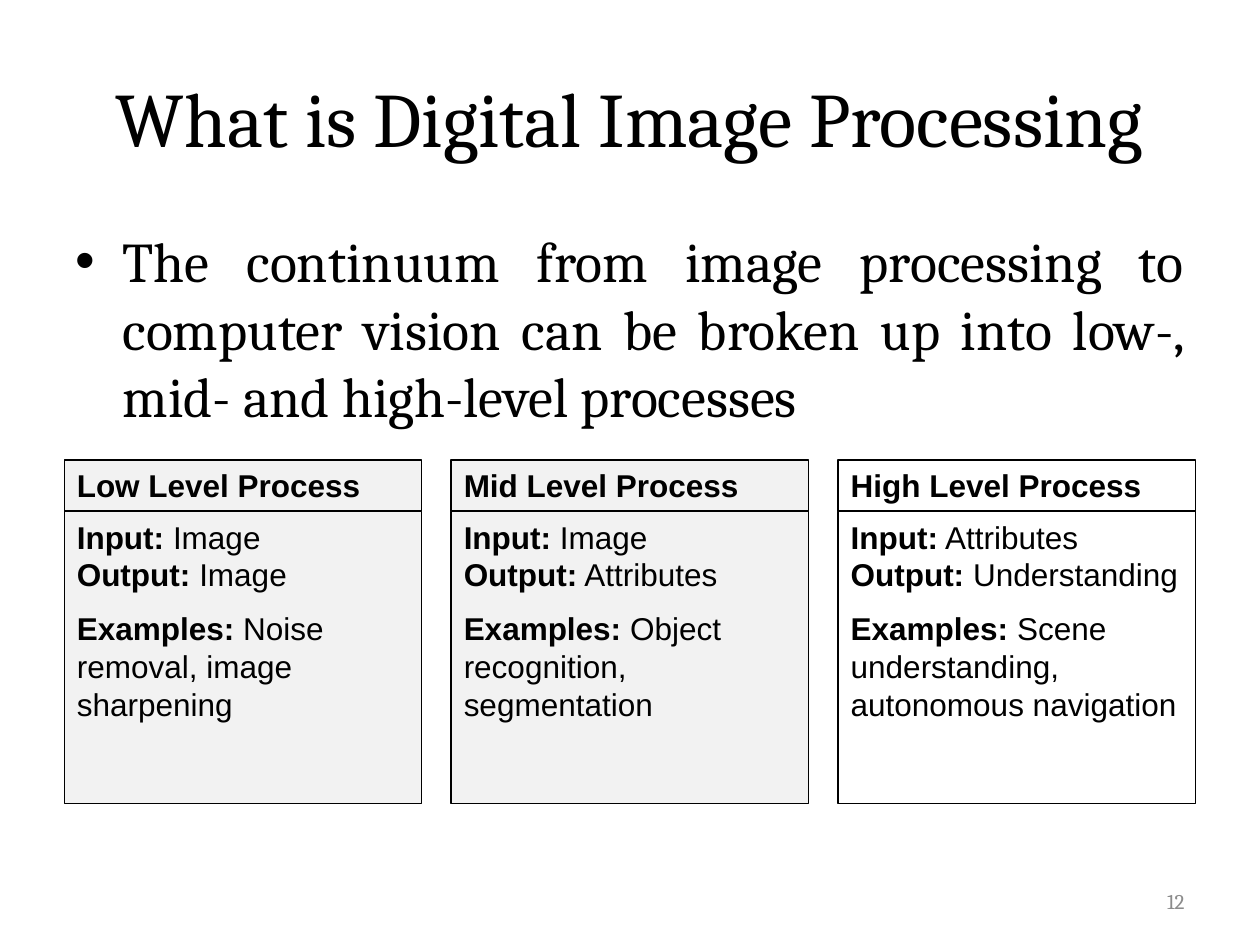
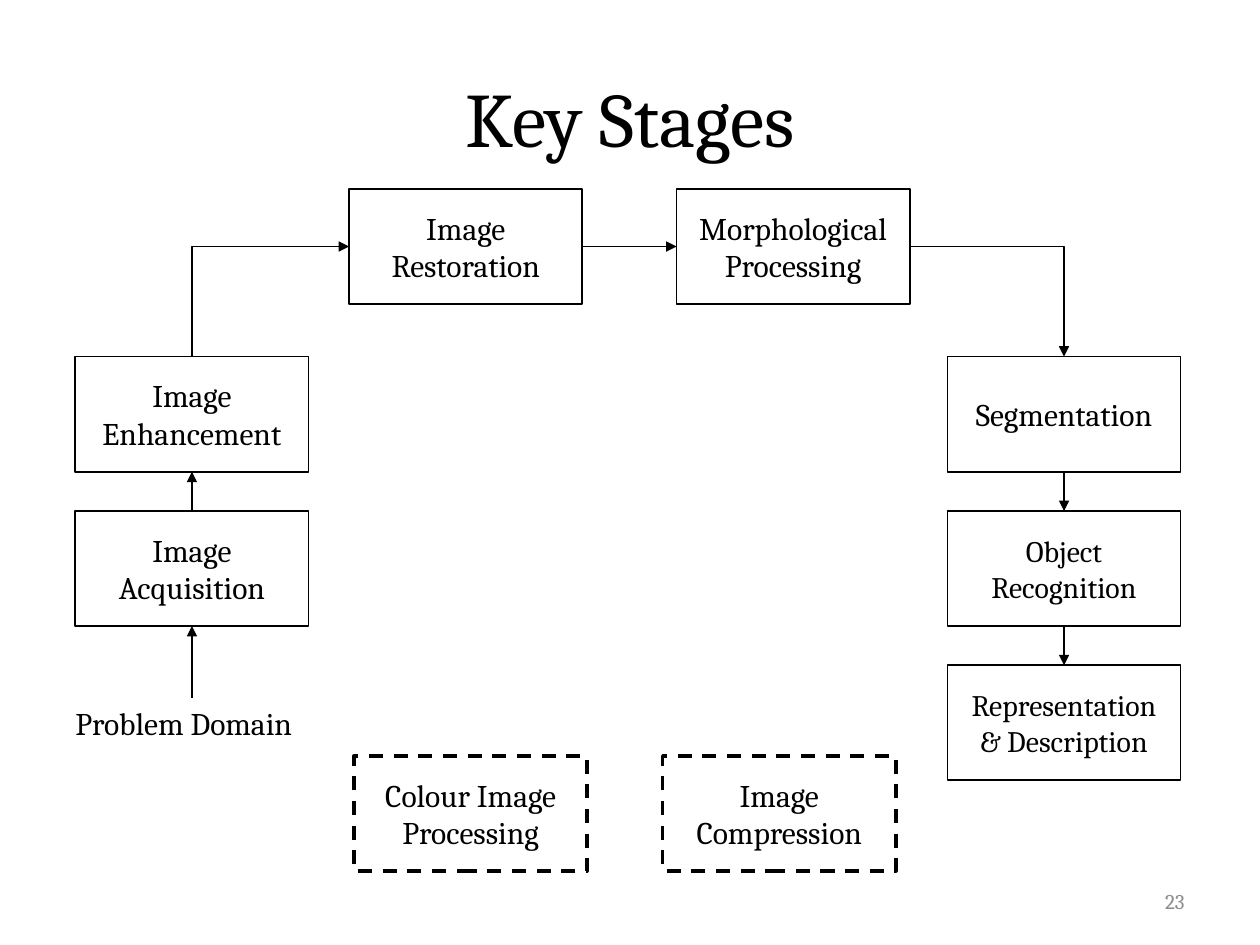
from pptx import Presentation
from pptx.dml.color import RGBColor
from pptx.enum import dml, shapes, text
from pptx.oxml import ns, xmlchemy
from pptx.util import Cm, Pt

BLACK = RGBColor(0, 0, 0)
WHITE = RGBColor(255, 255, 255)
PALE = RGBColor(0xF2, 0xF2, 0xF2)
GREY = RGBColor(0x8C, 0x8C, 0x8C)
SERIF = "Cambria"
SANS = "Arial"
LEFT, MID, RIGHT, FULL = (
    text.PP_ALIGN.LEFT, text.PP_ALIGN.CENTER,
    text.PP_ALIGN.RIGHT, text.PP_ALIGN.JUSTIFY)
TOP, CENTRE = text.MSO_ANCHOR.TOP, text.MSO_ANCHOR.MIDDLE
NORTH, WEST, SOUTH, EAST = range(4)

LEVELS = [
    ("Low", "Image", "Image", "Noise removal, image sharpening", False),
    ("Mid", "Image", "Attributes", "Object recognition, segmentation", False),
    ("High", "Attributes", "Understanding",
     "Scene understanding, autonomous navigation", True),
]
CARD_LEFT, CARD_STEP, CARD_WIDE = 1.3, 7.8, 7.2
HEAD_TOP, HEAD_TALL, BODY_TALL = 9.27, 1.04, 5.89

STAGE_WIDE, STAGE_TALL = 4.7, 2.32
FAR_LEFT, FAR_RIGHT = 1.52, 19.1
SIDE_TOP, SIDE_STEP = 7.19, 3.11
ARCH_TOP, EXTRA_TOP = 3.81, 15.24


def place(left, top, wide, tall):
    return Cm(left), Cm(top), Cm(wide), Cm(tall)


def add_xml(parent, tag, **attrs):
    node = xmlchemy.OxmlElement(tag)
    for key, value in attrs.items():
        node.set(key, value)
    parent.append(node)
    return node


def write(shape, *paras, font=SERIF, size=18, color=BLACK, align=LEFT,
          anchor=TOP, gap=0, bullet=False):
    frame = shape.text_frame
    frame.word_wrap = True
    frame.vertical_anchor = anchor
    for i, runs in enumerate(paras):
        para = frame.add_paragraph() if i else frame.paragraphs[0]
        para.alignment = align
        if i:
            para.space_before = Pt(gap)
        if bullet:
            props = para._p.get_or_add_pPr()
            props.set("marL", str(Cm(0.95)))
            props.set("indent", str(Cm(-0.95)))
            add_xml(props, "a:buFont", typeface=SANS)
            add_xml(props, "a:buChar", char="•")
        for words, bold in [(runs, False)] if isinstance(runs, str) else runs:
            if words == "\n":
                para.add_line_break()
                continue
            run = para.add_run()
            run.text = words
            run.font.name = font
            run.font.size = Pt(size)
            run.font.bold = bold
            run.font.color.rgb = color


def add_label(slide, area, words, **style):
    label = slide.shapes.add_textbox(*place(*area))
    write(label, words, **style)
    return label


def add_page(deck, title, number):
    slide = deck.slides.add_slide(deck.slide_layouts[5])
    head = slide.shapes.title
    head.left, head.top, head.width, head.height = place(1.27, 0.76, 22.86, 3.18)
    write(head, title, size=44, align=MID, anchor=CENTRE)
    add_label(slide, (18.21, 17.65, 5.92, 1.02), number, size=12, color=GREY,
              align=RIGHT, anchor=CENTRE)
    return slide


def add_box(parent, area, fill=WHITE, line=1):
    box = parent.shapes.add_shape(shapes.MSO_SHAPE.RECTANGLE, *place(*area))
    box.shadow.inherit = False
    box.fill.solid()
    box.fill.fore_color.rgb = fill
    box.line.color.rgb = BLACK
    box.line.width = Pt(line)
    return box


def add_card(slide, left, level, source, result, cases, clear):
    group = slide.shapes.add_group_shape()
    fill = WHITE if clear else PALE
    head = add_box(group, (left, HEAD_TOP, CARD_WIDE, HEAD_TALL), fill)
    body = add_box(group, (left, HEAD_TOP + HEAD_TALL, CARD_WIDE, BODY_TALL), fill)
    if clear:
        for box in (head, body):
            tint = box._element.spPr.find(ns.qn("a:solidFill"))[0]
            add_xml(tint, "a:alpha", val="70000")
    write(head, [(f"{level} Level Process", True)], font=SANS)
    write(body,
          [("Input:", True), (f" {source}", False), ("\n", False),
           ("Output:", True), (f" {result}", False)],
          [("Examples:", True), (f" {cases}", False)],
          font=SANS, gap=9)


def add_stage(slide, left, top, words, size=18, dashed=False):
    box = add_box(slide, (left, top, STAGE_WIDE, STAGE_TALL),
                  line=2 if dashed else 1)
    if dashed:
        box.line.dash_style = dml.MSO_LINE.DASH
    write(box, words, size=size, align=MID, anchor=CENTRE)
    return box


def add_link(slide, start, out, end, into, bent=False, tip="a:tailEnd"):
    kind = shapes.MSO_CONNECTOR.ELBOW if bent else shapes.MSO_CONNECTOR.STRAIGHT
    link = slide.shapes.add_connector(kind, 0, 0, 0, 0)
    link.begin_connect(start, out)
    link.end_connect(end, into)
    link.line.color.rgb = BLACK
    link.line.width = Pt(1)
    props = link._element.spPr
    if bent:
        props.find(ns.qn("a:prstGeom")).set("prst", "bentConnector2")
    add_xml(link.line._get_or_add_ln(), tip, type="triangle")
    add_xml(props, "a:effectLst")


def build_levels(deck):
    slide = add_page(deck, "What is Digital Image Processing", "12")
    add_label(slide, (1.27, 4.45, 22.86, 4.6),
              "The continuum from image processing to computer vision can be "
              "broken up into low-, mid- and high-level processes",
              size=32, align=FULL, bullet=True)
    for i, level in enumerate(LEVELS):
        add_card(slide, CARD_LEFT + i * CARD_STEP, *level)


def build_stages(deck):
    slide = add_page(deck, "Key Stages", "23")
    rows = [SIDE_TOP + i * SIDE_STEP for i in range(3)]
    enhance = add_stage(slide, FAR_LEFT, rows[0], "Image Enhancement")
    acquire = add_stage(slide, FAR_LEFT, rows[1], "Image Acquisition")
    restore = add_stage(slide, 7.04, ARCH_TOP, "Image Restoration")
    morph = add_stage(slide, 13.64, ARCH_TOP, "Morphological Processing")
    segment = add_stage(slide, FAR_RIGHT, rows[0], "Segmentation")
    object_ = add_stage(slide, FAR_RIGHT, rows[1], "Object Recognition", size=17)
    describe = add_stage(slide, FAR_RIGHT, rows[2],
                         "Representation & Description", size=17)
    add_stage(slide, 7.14, EXTRA_TOP, "Colour Image Processing", dashed=True)
    add_stage(slide, 13.36, EXTRA_TOP, "Image Compression", dashed=True)
    domain = add_label(slide, (1.27, 14.07, 5.2, 1.02), "Problem Domain")

    add_link(slide, domain, NORTH, acquire, SOUTH)
    add_link(slide, acquire, NORTH, enhance, SOUTH)
    add_link(slide, restore, WEST, enhance, NORTH, bent=True, tip="a:headEnd")
    add_link(slide, restore, EAST, morph, WEST)
    add_link(slide, morph, EAST, segment, NORTH, bent=True)
    add_link(slide, segment, SOUTH, object_, NORTH)
    add_link(slide, object_, SOUTH, describe, NORTH)


def main():
    deck = Presentation()
    deck.slide_width, deck.slide_height = Cm(25.4), Cm(19.05)
    build_levels(deck)
    build_stages(deck)
    deck.save("out.pptx")


if __name__ == "__main__":
    main()
